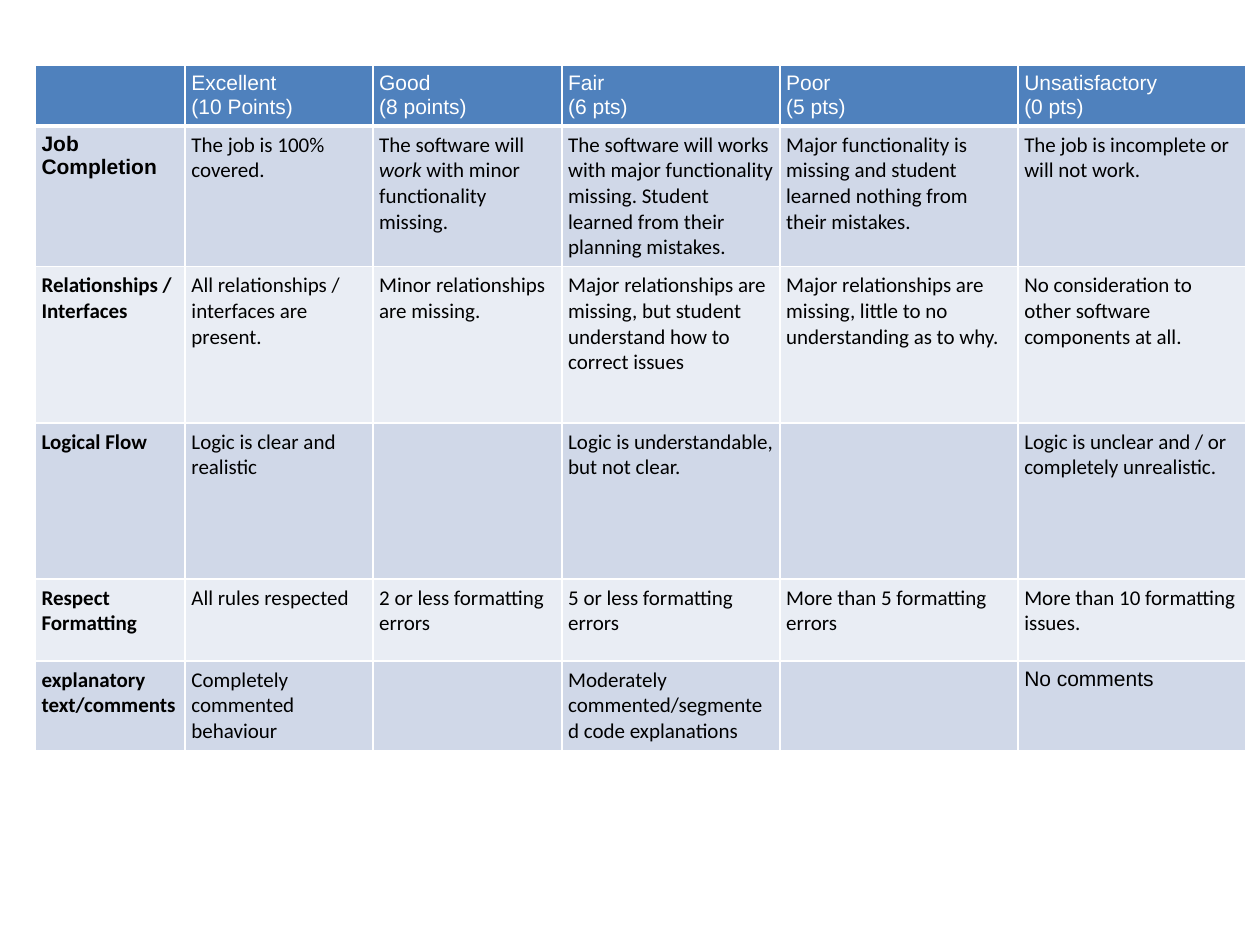
from dataclasses import dataclass

from lxml import etree
from pptx import Presentation
from pptx import util as u
from pptx.dml.color import RGBColor
from pptx.oxml import ns

HEADER_FILL = "4F81BD"
BAND_FILLS = ("D0D8E8", "E9EDF4")
WHITE, BLACK = "FFFFFF", "000000"
COLUMN_WIDTHS = (1.19, 1.49, 1.5, 1.73, 1.89, 1.81)


@dataclass(frozen=True)
class Entry:
    text: str = ""
    font: str = "Calibri"


@dataclass(frozen=True)
class RubricRow:
    height: float
    entries: tuple[Entry, ...]


HEADER = RubricRow(0.48, (
    Entry(),
    Entry("Excellent\n(10 Points)", "Arial"),
    Entry("Good\n(8 points)", "Arial"),
    Entry("Fair\v(6 pts)", "Arial"),
    Entry("Poor\v(5 pts)", "Arial"),
    Entry("Unsatisfactory\v(0 pts)", "Arial"),
))

CRITERIA = (
    RubricRow(1.05, (
        Entry("Job Completion", "Arial"),
        Entry("The job is 100% covered."),
        Entry("The software will *work* with minor functionality\nmissing."),
        Entry("The software will works with major functionality missing. "
              "Student learned from their planning mistakes."),
        Entry("Major functionality is missing and student learned nothing "
              "from their mistakes."),
        Entry("The job is incomplete or will not work."),
    )),
    RubricRow(1.24, (
        Entry("Relationships / Interfaces"),
        Entry("All relationships / interfaces are present."),
        Entry("Minor relationships are missing."),
        Entry("Major relationships are missing, but student understand "
              "how to correct issues"),
        Entry("Major relationships are missing, little to no understanding "
              "as to why."),
        Entry("No consideration to other software components at all."),
    )),
    RubricRow(1.24, (
        Entry("Logical Flow"),
        Entry("Logic is clear and realistic"),
        Entry(),
        Entry("Logic is understandable, but not clear."),
        Entry(),
        Entry("Logic is unclear and / or completely unrealistic."),
    )),
    RubricRow(0.65, (
        Entry("Respect Formatting"),
        Entry("All rules respected"),
        Entry("2 or less formatting errors"),
        Entry("5 or less formatting errors"),
        Entry("More than 5 formatting errors"),
        Entry("More than 10 formatting issues."),
    )),
    RubricRow(0.65, (
        Entry("explanatory text/comments"),
        Entry("Completely commented behaviour"),
        Entry(),
        Entry("Moderately commented/segmented code explanations"),
        Entry(),
        Entry("No comments", "Arial"),
    )),
)


def color(value: str) -> RGBColor:
    return RGBColor.from_string(value)


def draw_borders(cell, top: float, bottom: float) -> None:
    properties = cell._tc.get_or_add_tcPr()
    for side, points in (("L", 1), ("R", 1), ("T", top), ("B", bottom)):
        line = etree.SubElement(properties, ns.qn(f"a:ln{side}"), w=str(u.Pt(points)))
        fill = etree.SubElement(line, ns.qn("a:solidFill"))
        etree.SubElement(fill, ns.qn("a:srgbClr"), val=WHITE)


def write_paragraph(para, content: str) -> None:
    if "*" not in content:
        para.text = content
        return
    for index, piece in enumerate(content.split("*")):
        span = para.add_run()
        span.text = piece
        span.font.italic = index % 2 == 1


def write_entry(cell, entry: Entry, text_color: str, bold: bool) -> None:
    cell.margin_left = cell.margin_right = u.Inches(0.05)
    cell.margin_top = cell.margin_bottom = u.Inches(0.05)
    frame = cell.text_frame
    for index, content in enumerate(entry.text.split("\n")):
        para = frame.add_paragraph() if index else frame.paragraphs[0]
        write_paragraph(para, content)
        para.font.name = entry.font
        para.font.size = u.Pt(12)
        para.font.bold = bold
        para.font.color.rgb = color(text_color)


def draw_row(table, number: int, row: RubricRow) -> None:
    is_header = number == 0
    fill = HEADER_FILL if is_header else BAND_FILLS[(number - 1) % 2]
    table.rows[number].height = u.Inches(row.height)
    for column, entry in enumerate(row.entries):
        cell = table.cell(number, column)
        draw_borders(cell, top=3 if number == 1 else 1, bottom=3 if is_header else 1)
        cell.fill.solid()
        cell.fill.fore_color.rgb = color(fill)
        write_entry(cell, entry, WHITE if is_header else BLACK,
                    bold=not is_header and column == 0)


def draw_rubric(page) -> None:
    rows = (HEADER, *CRITERIA)
    table = page.shapes.add_table(
        len(rows), len(COLUMN_WIDTHS), u.Inches(0.28), u.Inches(0.52),
        u.Inches(sum(COLUMN_WIDTHS)), u.Inches(sum(row.height for row in rows)),
    ).table
    table.first_row = table.horz_banding = False
    for column, width in zip(table.columns, COLUMN_WIDTHS):
        column.width = u.Inches(width)
    for number, row in enumerate(rows):
        draw_row(table, number, row)


def main() -> None:
    deck = Presentation()
    deck.slide_width, deck.slide_height = u.Inches(10), u.Inches(7.5)
    page = deck.slides.add_slide(deck.slide_layouts[6])
    draw_rubric(page)
    deck.save("out.pptx")


if __name__ == "__main__":
    main()
